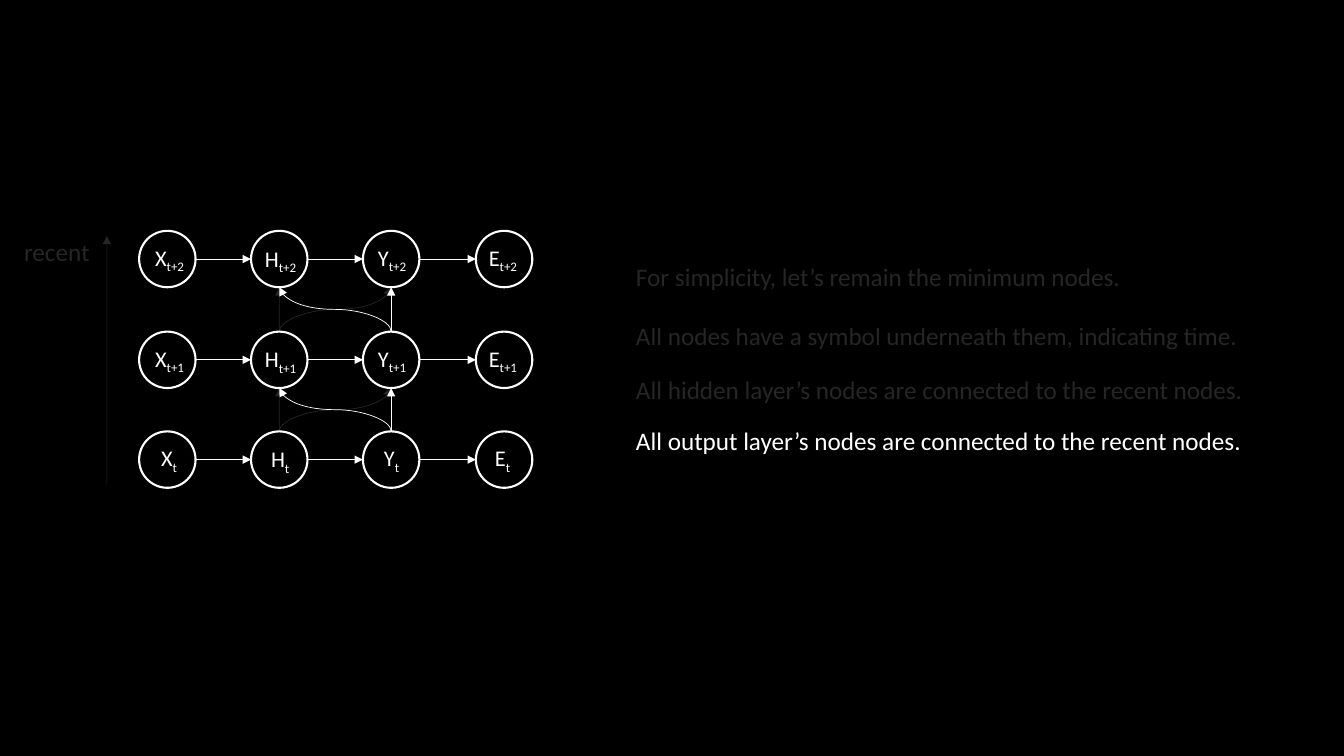
import lxml.etree
import pptx
import pptx.dml.color
import pptx.enum.shapes
import pptx.oxml.ns
import pptx.util

WHITE = pptx.dml.color.RGBColor(0xFF, 0xFF, 0xFF)
BLACK = pptx.dml.color.RGBColor(0x00, 0x00, 0x00)
FAINT = 15  # opacity in percent
SOLID = 100

SLIDE_SIZE = (13.33, 7.5)
LAYERS = {  # letter: column centre, label shift right and down
    "X": (1.66, -0.22, -0.2),
    "H": (2.77, -0.24, -0.19),
    "Y": (3.88, -0.23, -0.2),
    "E": (5.0, -0.25, -0.2),
}
TIMES = {"t": 4.56, "t+1": 3.57, "t+2": 2.57}  # row centres
NODE = 0.56
LABEL_SIZE = (0.57, 0.37)
SHORT_LABEL_SHIFT = 0.06
RECURRENT_LINKS = [
    ("H", "H", FAINT), ("H", "Y", FAINT),
    ("Y", "Y", SOLID), ("Y", "H", SOLID),
]
TIME_AXIS = (1.06, 4.81, 1.06, 2.34)
NOTES = [  # words, left, top, width, opacity
    ("recent", 0.14, 2.3, 1.06, FAINT),
    ("For simplicity, let’s remain the minimum nodes.", 6.21, 2.54, 5.8, FAINT),
    ("All nodes have a symbol underneath them, indicating time.", 6.21, 3.13, 6.66, FAINT),
    ("All hidden layer’s nodes are connected to the recent nodes.", 6.21, 3.66, 6.66, FAINT),
    ("All output layer’s nodes are connected to the recent nodes.", 6.21, 4.17, 6.66, SOLID),
]
NOTE_HEIGHT = 0.4


def inches(*lengths):
    return [pptx.util.Inches(length) for length in lengths]


def add_element(parent, tag, **attributes):
    lxml.etree.SubElement(parent, pptx.oxml.ns.qn(tag), **attributes)


def paint(fill, opacity):
    """Fill with white at the given opacity in percent."""
    fill.solid()
    fill.fore_color.rgb = WHITE
    if opacity < SOLID:
        colour = fill._xPr.find(".//" + pptx.oxml.ns.qn("a:srgbClr"))
        add_element(colour, "a:alpha", val=str(opacity * 1000))


def add_text(slide, place, runs, size, opacity):
    """Add one line of text; each run is its words and a baseline shift."""
    box = slide.shapes.add_textbox(*inches(*place))
    box.text_frame.word_wrap = True
    para = box.text_frame.paragraphs[0]
    for words, baseline in runs:
        span = para.add_run()
        span.text = words
        for name, value in {"name": "Calibri", "size": pptx.util.Pt(size)}.items():
            setattr(span.font, name, value)
        paint(span.font.fill, opacity)
        if baseline:
            span.font._element.set("baseline", str(baseline * 1000))


def add_arrow(slide, ends, opacity=SOLID, kind="STRAIGHT"):
    """Add a thin arrow and return its shape properties element."""
    connector = slide.shapes.add_connector(
        pptx.enum.shapes.MSO_CONNECTOR[kind], *inches(*ends))
    connector.line.width = pptx.util.Pt(0.5)
    paint(connector.line.fill, opacity)
    properties = connector._element.spPr
    add_element(properties.find(pptx.oxml.ns.qn("a:ln")), "a:tailEnd", type="triangle")
    add_element(properties, "a:effectLst")
    return properties


def add_rising_curve(slide, start, end, opacity):
    """Add a curve that leaves and arrives vertically: a sideways one turned upwards."""
    (x1, y1), (x2, y2) = start, end
    middle_x, middle_y = (x1 + x2) / 2, (y1 + y2) / 2
    half_rise, half_run = (y1 - y2) / 2, (x2 - x1) / 2
    ends = (middle_x - half_rise, middle_y - half_run,
            middle_x + half_rise, middle_y + half_run)
    properties = add_arrow(slide, ends, opacity, "CURVE")
    properties.find(pptx.oxml.ns.qn("a:xfrm")).set("rot", str(270 * 60000))


def add_node(slide, letter, time):
    x, right, down = LAYERS[letter]
    y = TIMES[time]
    if time == "t":
        right += SHORT_LABEL_SHIFT
    add_text(slide, (x + right, y + down, *LABEL_SIZE),
             [(letter, 0), (time, -25)], 16, SOLID)
    circle = slide.shapes.add_shape(
        pptx.enum.shapes.MSO_SHAPE.OVAL,
        *inches(x - NODE / 2, y - NODE / 2, NODE, NODE))
    circle.shadow.inherit = False
    circle.fill.background()
    circle.line.color.rgb = WHITE
    circle.line.width = pptx.util.Pt(1.5)


def main():
    deck = pptx.Presentation()
    deck.slide_width, deck.slide_height = inches(*SLIDE_SIZE)
    slide = deck.slides.add_slide(deck.slide_layouts[6])
    slide.background.fill.solid()
    slide.background.fill.fore_color.rgb = BLACK

    add_arrow(slide, TIME_AXIS, FAINT)
    for words, left, top, width, opacity in NOTES:
        add_text(slide, (left, top, width, NOTE_HEIGHT), [(words, 0)], 18, opacity)

    rows = list(TIMES.values())
    for source, target, opacity in RECURRENT_LINKS:
        for earlier, later in zip(rows, rows[1:]):
            add_rising_curve(slide, (LAYERS[source][0], earlier - NODE / 2),
                             (LAYERS[target][0], later + NODE / 2), opacity)

    columns = [layer[0] for layer in LAYERS.values()]
    for time, y in TIMES.items():
        for letter in LAYERS:
            add_node(slide, letter, time)
        for x, following in zip(columns, columns[1:]):
            add_arrow(slide, (x + NODE / 2, y, following - NODE / 2, y))

    deck.save("out.pptx")


if __name__ == "__main__":
    main()
